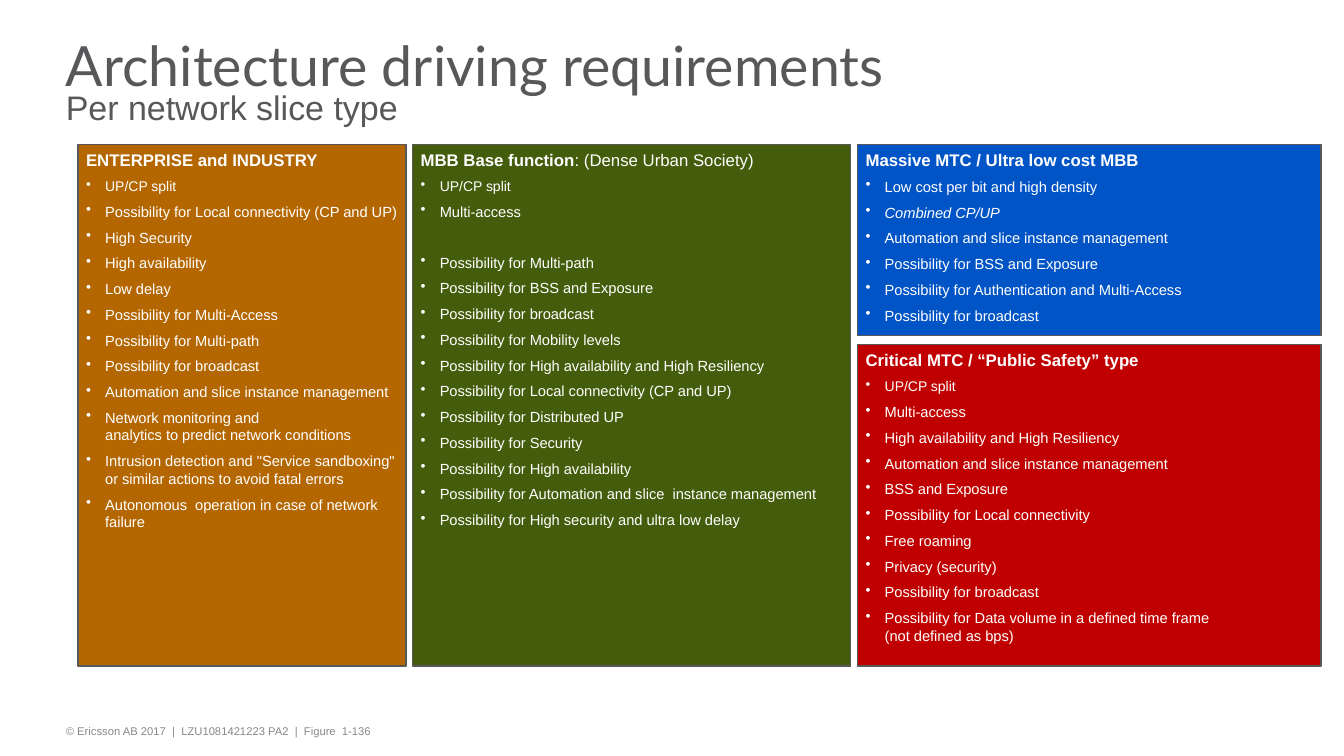
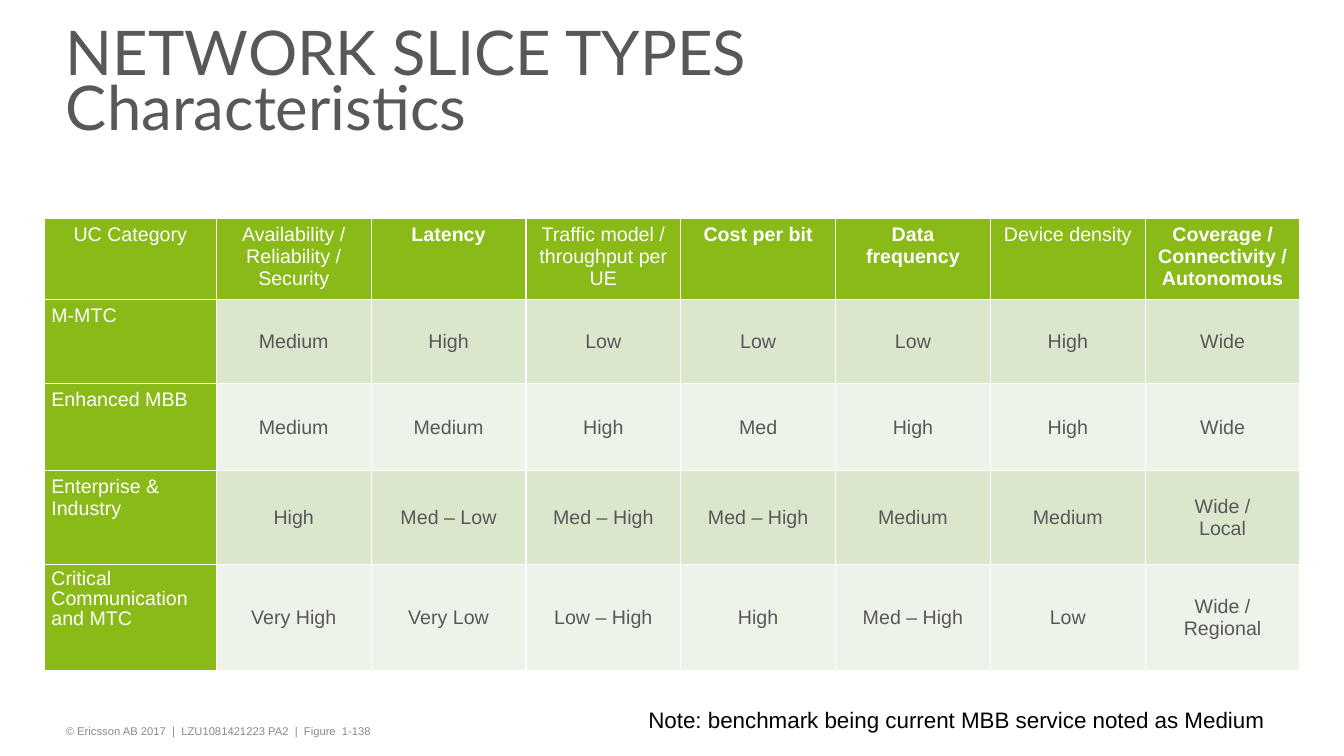
"""Build two slides on network slice types: driving requirements and characteristics."""
from copy import deepcopy
from dataclasses import dataclass

from lxml.etree import SubElement
from pptx import Presentation
from pptx.dml.color import RGBColor
from pptx.enum.shapes import MSO_SHAPE
from pptx.enum.text import MSO_ANCHOR, PP_ALIGN
from pptx.oxml import parse_xml
from pptx.oxml.ns import nsdecls, qn
from pptx.util import Inches, Pt


@dataclass(frozen=True)
class Theme:
    body_font: str = "Arial"
    title_font: str = "Lato"
    grey: str = "58585A"
    footer_grey: str = "87888A"
    white: str = "FFFFFF"
    black: str = "000000"
    orange: str = "B46700"
    forest: str = "445D0C"
    blue: str = "0054C6"
    red: str = "C00000"
    header_green: str = "89BA17"
    bands: tuple = ("DAE7CC", "EDF3E8")
    title_size: float = 44
    long_title_size: float = 39.6
    subtitle_size: float = 24.3
    note_size: float = 16
    table_size: float = 14
    heading_size: float = 12
    point_size: float = 10.5
    small_point_size: float = 10
    footer_size: float = 8
    point_gap: float = 5.8
    skipped_line_gap: float = 23.7
    bullet_indent: float = 0.19


THEME = Theme()


@dataclass(frozen=True)
class Point:
    text: str
    size: float = THEME.point_size
    italic: bool = False
    before: float = THEME.point_gap


def rgb(value):
    return RGBColor.from_string(value)


def write(paragraph, text, *, size, color=THEME.white, font=THEME.body_font, bold=False,
          italic=False, align=None, before=None, spacing=None, bullet=False):
    if bullet:
        properties = paragraph._p.get_or_add_pPr()
        indent = Inches(THEME.bullet_indent)
        properties.set("marL", str(indent))
        properties.set("indent", str(-indent))
        SubElement(properties, qn("a:buChar")).set("char", "•")
    if align is not None:
        paragraph.alignment = align
    if before is not None:
        paragraph.space_before = Pt(before)
    if spacing is not None:
        paragraph.line_spacing = spacing
    for number, line in enumerate(text.split("\n")):
        if number:
            paragraph.add_line_break()
            paragraph._p[-1].append(deepcopy(run._r.rPr))
        run = paragraph.add_run()
        run.text = line
        run.font.size = Pt(size)
        run.font.name = font
        run.font.bold = bold
        run.font.italic = italic
        run.font.color.rgb = rgb(color)


class Deck:
    def __init__(self, theme):
        self.theme = theme
        self.presentation = Presentation()
        self.presentation.slide_width = Inches(13.33)
        self.presentation.slide_height = Inches(7.5)
        self.slide = None

    def across(self, percent):
        return round(self.presentation.slide_width * percent / 100)

    def down(self, percent):
        return round(self.presentation.slide_height * percent / 100)

    def place(self, left, top, width, height):
        return self.across(left), self.down(top), self.across(width), self.down(height)

    def frame(self, shape, insets, anchor=MSO_ANCHOR.TOP):
        frame = shape.text_frame
        frame.word_wrap = True
        frame.vertical_anchor = anchor
        (frame.margin_left, frame.margin_top,
         frame.margin_right, frame.margin_bottom) = map(Inches, insets)
        return frame

    def text_box(self, area, insets, anchor=MSO_ANCHOR.TOP):
        box = self.slide.shapes.add_textbox(*self.place(*area))
        return self.frame(box, insets, anchor).paragraphs[0]

    def new_slide(self, figure):
        self.slide = self.presentation.slides.add_slide(self.presentation.slide_layouts[6])
        footer = self.text_box((4.3, 95.2, 80.9, 3.2), (0.08, 0.05, 0.08, 0.05))
        write(footer, f"© Ericsson AB 2017  |  LZU1081421223 PA2  |  Figure  {figure}",
              size=self.theme.footer_size, color=self.theme.footer_grey)

    def title(self, text, size, subtitle=None):
        heading = self.text_box((4.3, 3.5, 86.7, 15.9), (0.08, 0, 0.08, 0), MSO_ANCHOR.MIDDLE)
        write(heading, text, size=size, color=self.theme.grey,
              font=self.theme.title_font, spacing=0.75)
        if subtitle:
            heading.add_line_break()
            heading._p[-1].append(deepcopy(heading.runs[0]._r.rPr))
            write(heading, subtitle, size=self.theme.subtitle_size, color=self.theme.grey)

    def card(self, area, color, heading, points, detail=""):
        card = self.slide.shapes.add_shape(MSO_SHAPE.RECTANGLE, *self.place(*area))
        card.shadow.inherit = False
        card.fill.solid()
        card.fill.fore_color.rgb = rgb(color)
        card.line.color.rgb = rgb(self.theme.grey)
        card.line.width = Pt(1)
        frame = self.frame(card, (0.08, 0.05, 0, 0.05))
        first = frame.paragraphs[0]
        write(first, heading, size=self.theme.heading_size, bold=True, align=PP_ALIGN.LEFT)
        if detail:
            write(first, detail, size=self.theme.heading_size)
        for entry in points:
            point = entry if isinstance(entry, Point) else Point(entry)
            write(frame.add_paragraph(), point.text, size=point.size, italic=point.italic,
                  before=point.before, align=PP_ALIGN.LEFT, bullet=True)

    def cell(self, cell, text, fill, anchor=MSO_ANCHOR.TOP, **text_format):
        cell.fill.solid()
        cell.fill.fore_color.rgb = rgb(fill)
        cell.vertical_anchor = anchor
        cell.margin_left = cell.margin_right = Inches(0.07)
        cell.margin_top = cell.margin_bottom = Inches(0.05)
        write(cell.text_frame.paragraphs[0], text, size=self.theme.table_size, **text_format)
        properties = cell._tc.get_or_add_tcPr()
        for position, side in enumerate("LRTB"):
            properties.insert(position, parse_xml(
                f'<a:ln{side} {nsdecls("a")} w="{Pt(1)}"><a:solidFill>'
                f'<a:srgbClr val="{self.theme.white}"/></a:solidFill></a:ln{side}>'))

    def table(self, left, top, widths, heights, headers, bold_headers, rows):
        area = self.place(left, top, sum(widths), sum(heights))
        table = self.slide.shapes.add_table(len(heights), len(widths), *area).table
        table.first_row = table.horz_banding = False
        for column, width in zip(table.columns, widths):
            column.width = self.across(width)
        for row, height in zip(table.rows, heights):
            row.height = self.down(height)
        for number, header in enumerate(headers):
            self.cell(table.cell(0, number), header, self.theme.header_green,
                      bold=header in bold_headers, align=PP_ALIGN.CENTER)
        for number, (category, *ratings) in enumerate(rows, 1):
            self.cell(table.cell(number, 0), category, self.theme.header_green,
                      spacing=0.9 if number == len(rows) else None)
            band = self.theme.bands[(number - 1) % 2]
            for column, rating in enumerate(ratings, 1):
                self.cell(table.cell(number, column), rating, band, MSO_ANCHOR.MIDDLE,
                          color=self.theme.grey, align=PP_ALIGN.CENTER)

    def note(self, text):
        note = self.text_box((47.5, 92.7, 47.9, 4.9), (0.1, 0.05, 0, 0.05))
        write(note, text, size=self.theme.note_size, color=self.theme.black)


def requirements(deck):
    theme = deck.theme
    deck.new_slide("1-136")
    deck.title("Architecture driving requirements", theme.long_title_size,
               "Per network slice type")
    top, height, gap, row_gap = 19.1, 69, 0.5, 1.2
    enterprise_width, base_width, mtc_width = 24.4, 32.6, 34.5
    enterprise_left = 5.8
    base_left = enterprise_left + enterprise_width + gap
    mtc_left = base_left + base_width + gap
    massive_height = 25.3
    critical_offset = massive_height + row_gap
    split = Point("UP/CP split", size=theme.small_point_size)
    deck.card((enterprise_left, top, enterprise_width, height), theme.orange,
              "ENTERPRISE and INDUSTRY", [
                  split,
                  "Possibility for Local connectivity (CP and UP)",
                  "High Security",
                  "High availability",
                  "Low delay",
                  "Possibility for Multi-Access",
                  "Possibility for Multi-path",
                  "Possibility for broadcast",
                  "Automation and slice instance management",
                  "Network monitoring and\nanalytics to predict network conditions",
                  "Intrusion detection and \"Service sandboxing\"\n"
                  "or similar actions to avoid fatal errors",
                  "Autonomous  operation in case of network\nfailure"])
    deck.card((base_left, top, base_width, height), theme.forest,
              "MBB Base function", [
                  split,
                  "Multi-access",
                  Point("Possibility for Multi-path", before=theme.skipped_line_gap),
                  "Possibility for BSS and Exposure",
                  "Possibility for broadcast",
                  "Possibility for Mobility levels",
                  "Possibility for High availability and High Resiliency",
                  "Possibility for Local connectivity (CP and UP)",
                  "Possibility for Distributed UP",
                  "Possibility for Security",
                  "Possibility for High availability",
                  "Possibility for Automation and slice  instance management",
                  "Possibility for High security and ultra low delay"],
              detail=": (Dense Urban Society)")
    deck.card((mtc_left, top + critical_offset, mtc_width, height - critical_offset),
              theme.red, "Critical MTC / “Public Safety” type", [
                  split,
                  "Multi-access",
                  "High availability and High Resiliency",
                  "Automation and slice instance management",
                  "BSS and Exposure",
                  "Possibility for Local connectivity",
                  "Free roaming",
                  "Privacy (security)",
                  "Possibility for broadcast",
                  "Possibility for Data volume in a defined time frame\n(not defined as bps)"])
    deck.card((mtc_left, top, mtc_width, massive_height), theme.blue,
              "Massive MTC / Ultra low cost MBB", [
                  "Low cost per bit and high density",
                  Point("Combined CP/UP", italic=True),
                  "Automation and slice instance management",
                  "Possibility for BSS and Exposure",
                  "Possibility for Authentication and Multi-Access",
                  "Possibility for broadcast"])


def characteristics(deck):
    deck.new_slide("1-138")
    deck.title("NETWORK SLICE TYPES\nCharacteristics", deck.theme.title_size)
    coverage = "Coverage / Connectivity / Autonomous"
    deck.table(
        3.3, 28.9, [12.8] + [11.52] * 7, [10.3, 11.2, 11.5, 12.4, 14.1],
        ["UC Category", "Availability / Reliability / Security", "Latency",
         "Traffic model / throughput per UE", "Cost per bit", "Data frequency",
         "Device density", coverage],
        {"Latency", "Cost per bit", "Data frequency", coverage},
        [["M-MTC", "Medium", "High", "Low", "Low", "Low", "High", "Wide"],
         ["Enhanced MBB", "Medium", "Medium", "High", "Med", "High", "High", "Wide"],
         ["Enterprise & Industry", "High", "Med – Low", "Med – High", "Med – High",
          "Medium", "Medium", "Wide /\nLocal"],
         ["Critical Communication and MTC", "Very High", "Very Low", "Low – High", "High",
          "Med – High", "Low", "Wide /\nRegional"]])
    deck.note("Note: benchmark being current MBB service noted as Medium")


def main():
    deck = Deck(THEME)
    requirements(deck)
    characteristics(deck)
    deck.presentation.save("out.pptx")


if __name__ == "__main__":
    main()
